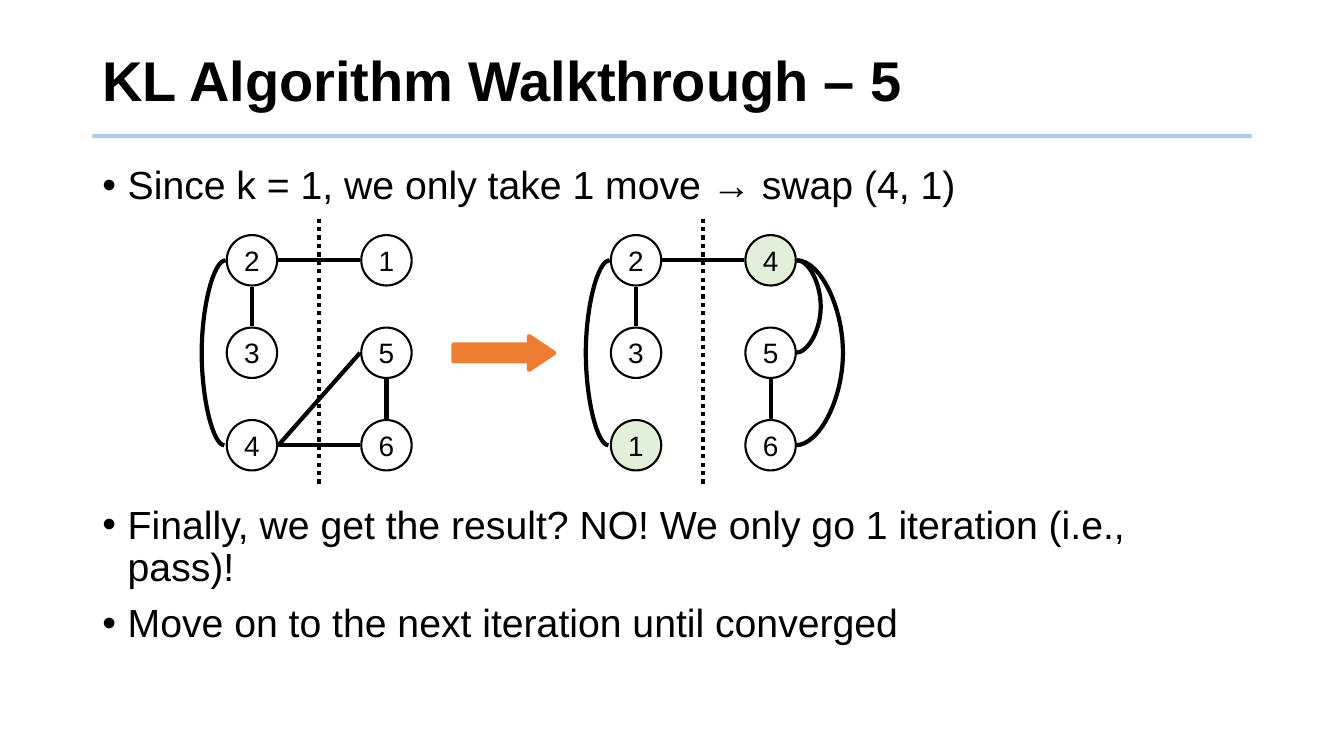
from dataclasses import dataclass

from lxml import etree
from pptx import Presentation
from pptx.dml.color import RGBColor
from pptx.enum.dml import MSO_LINE
from pptx.enum.shapes import MSO_CONNECTOR, MSO_SHAPE
from pptx.enum.text import MSO_ANCHOR, PP_ALIGN
from pptx.oxml.ns import qn
from pptx.util import Cm, Pt

OVAL, ARROW = MSO_SHAPE.OVAL, MSO_SHAPE.RIGHT_ARROW
LINE, CURVE = MSO_CONNECTOR.STRAIGHT, MSO_CONNECTOR.CURVE
DOTS = MSO_LINE.ROUND_DOT
MIDDLE, TOP = MSO_ANCHOR.MIDDLE, MSO_ANCHOR.TOP
CENTER = PP_ALIGN.CENTER

LEFT, WIDE = 2.33, 29.21           # text margin and width, cm
SIZE, COL, ROW = 1.27, 3.39, 2.33  # node size and node pitch, cm
GAP = 0.03                         # space between a node and its edges
HEAD = 6.56                        # centre of the first node row
FIGURE = 212                       # points kept free for the graphs


@dataclass(frozen=True)
class Theme:
    font: str = "Arial"
    ink: str = "000000"
    paper: str = "FFFFFF"
    mark: str = "E2F0D9"
    rule: str = "5B9BD5"
    arrow: str = "ED7D31"
    title: int = 40
    body: int = 28
    label: int = 20
    thin: float = 1.5
    thick: float = 3


def put(obj, **values):
    for name, value in values.items():
        setattr(obj, name, value)


def child(node, tag, **values):
    item = etree.SubElement(node, qn(tag))
    for name, value in values.items():
        item.set(name, str(value))
    return item


class Deck:
    def __init__(self, theme):
        self.theme = theme
        self.file = Presentation()
        put(self.file, slide_width=Cm(33.87), slide_height=Cm(19.05))
        self.slide = self.file.slides.add_slide(self.file.slide_layouts[6])
        self.layer = self.slide.shapes

    def type(self, para, size, bold=False):
        put(para.font, name=self.theme.font, size=Pt(size), bold=bold)
        para.font.color.rgb = RGBColor.from_string(self.theme.ink)

    def stroke(self, line, color, width):
        line.color.rgb = RGBColor.from_string(color)
        line.width = Pt(width)

    def text(self, box, lines, size, anchor=TOP, bold=False, bullet=False):
        """Write lines given as (text, points before) pairs."""
        frame = self.layer.add_textbox(*map(Cm, box)).text_frame
        put(frame, word_wrap=True, vertical_anchor=anchor)
        for i, (words, before) in enumerate(lines):
            para = frame.add_paragraph() if i else frame.paragraphs[0]
            put(para, text=words, line_spacing=0.9, space_before=Pt(before))
            if bullet:
                props = para._p.get_or_add_pPr()
                put_in = Cm(0.64)
                props.set("marL", str(put_in))
                props.set("indent", str(-put_in))
                child(props, "a:buFont", typeface=self.theme.font)
                child(props, "a:buChar", char="•")
            self.type(para, size, bold)

    def shape(self, kind, box, fill, edge, width):
        item = self.layer.add_shape(kind, *map(Cm, box))
        item.shadow.inherit = False
        item.fill.solid()
        item.fill.fore_color.rgb = RGBColor.from_string(fill)
        self.stroke(item.line, edge, width)
        return item

    def node(self, x, y, label, fill):
        box = x - SIZE / 2, y - SIZE / 2, SIZE, SIZE
        item = self.shape(OVAL, box, fill, self.theme.ink, self.theme.thin)
        put(item.text_frame, word_wrap=False, vertical_anchor=MIDDLE)
        para = item.text_frame.paragraphs[0]
        put(para, text=label, alignment=CENTER)
        self.type(para, self.theme.label)

    def line(self, start, end, color=None, kind=LINE):
        item = self.layer.add_connector(kind, *map(Cm, (*start, *end)))
        child(item._element.spPr, "a:effectLst")
        self.stroke(item.line, color or self.theme.ink, self.theme.thick)
        return item

    def curve(self, start, end, bulge):
        """Bow a curve sideways by bulge cm; its ends differ by GAP in x."""
        item = self.line(start, (end[0] - GAP, end[1]), kind=CURVE)
        guides = item._element.spPr.find(qn("a:prstGeom")).find(qn("a:avLst"))
        share = round(-bulge / GAP * 100000)
        child(guides, "a:gd", name="adj1", fmla=f"val {share}")

    def graph(self, left, columns, edges, bows, marked=""):
        """Draw two columns of nodes, with edges between ports such as 2r."""
        page, self.layer = self.layer, self.layer.add_group_shape().shapes
        spots = {label: (left + COL * i, HEAD + ROW * j)
                 for i, names in enumerate(columns)
                 for j, label in enumerate(names)}
        reach = SIZE / 2 + GAP
        sides = {"l": (-reach, 0), "r": (reach, 0),
                 "t": (0, -reach), "b": (0, reach)}

        def port(name):
            return [a + b for a, b in zip(spots[name[0]], sides[name[1]])]

        for label, (x, y) in spots.items():
            fill = self.theme.mark if label in marked else self.theme.paper
            self.node(x, y, label, fill)
        for start, end in edges:
            self.line(port(start), port(end))
        for start, end, bulge in bows:
            self.curve(port(start), port(end), bulge)
        cut = left + COL / 2
        self.line((cut, 5.51), (cut, 12.27)).line.dash_style = DOTS
        self.layer = page


def main():
    theme = Theme()
    deck = Deck(theme)
    rule = deck.line((LEFT, 3.43), (LEFT + WIDE, 3.43), theme.rule)
    tint = next(rule._element.iter(qn("a:srgbClr")))
    child(tint, "a:alpha", val=50000)
    deck.text((LEFT, 0.71, WIDE, 2.79), [("KL Algorithm Walkthrough – 5", 0)],
              theme.title, MIDDLE, bold=True)
    deck.text((LEFT, 4.06, WIDE, 13.08), [
        ("Since k = 1, we only take 1 move → swap (4, 1)", 0),
        ("Finally, we get the result? NO! We only go 1 iteration "
         "(i.e., pass)!", FIGURE),
        ("Move on to the next iteration until converged", 10),
    ], theme.body, bullet=True)

    shared = [("2b", "3t"), ("5b", "6t")]
    deck.graph(16.03, ("231", "456"), shared + [("2r", "4l")],
               [("2l", "1l", -0.6), ("4r", "5r", 0.6), ("4r", "6r", 1.16)],
               marked="14")
    deck.graph(6.35, ("234", "156"),
               shared + [("2r", "1l"), ("5l", "4r"), ("4r", "6l")],
               [("2l", "4l", -0.6)])
    arrow = deck.shape(ARROW, (11.43, 8.47, 2.54, 0.85),
                       theme.arrow, theme.arrow, theme.thick)
    for i, value in enumerate((0.5, 0.75)):
        arrow.adjustments[i] = value
    deck.file.save("out.pptx")


if __name__ == "__main__":
    main()
